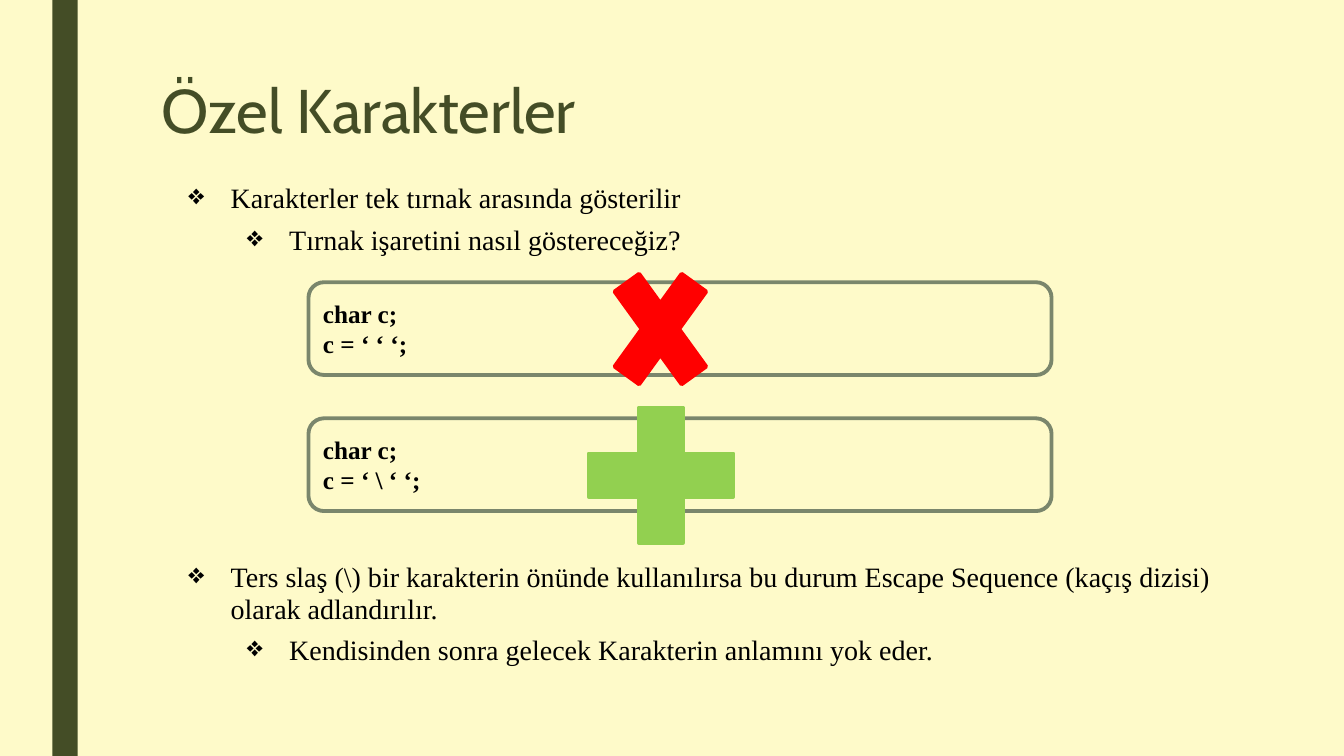
"""Build the slide on special characters and escape sequences."""
from typing import NamedTuple

from lxml.etree import SubElement
from pptx import Presentation
from pptx.dml.color import RGBColor
from pptx.enum.shapes import MSO_SHAPE
from pptx.enum.text import MSO_ANCHOR, PP_ALIGN
from pptx.oxml.ns import qn
from pptx.util import Inches, Pt

OLIVE = "444D26"
BLACK = "000000"
SERIF = "Times New Roman"


class Box(NamedTuple):
    left: float
    top: float
    width: float
    height: float


class Bullet(NamedTuple):
    text: str
    indent: float
    space_before: float


class BulletList(NamedTuple):
    box: Box
    bullets: list[Bullet]


class CodeBox(NamedTuple):
    top: float
    lines: list[str]


class Mark(NamedTuple):
    kind: MSO_SHAPE
    box: Box
    color: str


OUTER, INNER = 0.42, 1
BULLET_LISTS = [
    BulletList(Box(1.77, 1.77, 10.5, 0.9), [
        Bullet("Karakterler tek tırnak arasında gösterilir", OUTER, 0),
        Bullet("Tırnak işaretini nasıl göstereceğiz?", INNER, 5),
    ]),
    BulletList(Box(1.77, 5.53, 10.5, 1.25), [
        Bullet("Ters slaş (\\) bir karakterin önünde kullanılırsa bu durum "
               "Escape Sequence (kaçış dizisi) olarak adlandırılır.", OUTER, 0),
        Bullet("Kendisinden sonra gelecek Karakterin anlamını yok eder.", INNER, 5),
    ]),
]
CODE_BOXES = [
    CodeBox(2.8, ["char c;", "c = ‘ ‘ ‘;"]),
    CodeBox(4.15, ["char c;", "c = ‘ \\ ‘ ‘;"]),
]
MARKS = [
    Mark(MSO_SHAPE.MATH_MULTIPLY, Box(5.91, 2.38, 1.28, 1.77), "FF0000"),
    Mark(MSO_SHAPE.MATH_PLUS, Box(5.58, 3.8, 1.95, 1.83), "92D050"),
]


def rgb(value: str) -> RGBColor:
    """Turn a hex string into a colour."""
    return RGBColor.from_string(value)


def to_inches(box: Box) -> list[Inches]:
    """Convert a box to lengths."""
    return [Inches(value) for value in box]


def write(paragraph, text: str, *, size: float, font: str = SERIF,
          color: str = BLACK, bold: bool = False, line_spacing: float = 1,
          space_before: float = 0, space_after: float = 0) -> None:
    """Write formatted, left-aligned text in a paragraph."""
    paragraph.alignment = PP_ALIGN.LEFT
    paragraph.line_spacing = line_spacing
    paragraph.space_before = Pt(space_before)
    paragraph.space_after = Pt(space_after)
    run = paragraph.add_run()
    run.text = text
    run.font.size = Pt(size)
    run.font.name = font
    run.font.bold = bold
    run.font.color.rgb = rgb(color)


def add_paragraphs(text_frame, count: int) -> list:
    """Return the given number of paragraphs of an empty text frame."""
    return [text_frame.paragraphs[0]] + [
        text_frame.add_paragraph() for _ in range(count - 1)]


def add_shape(slide, kind: MSO_SHAPE, box: Box, *, fill: str | None = None,
              line: str | None = None):
    """Add a flat preset shape."""
    shape = slide.shapes.add_shape(kind, *to_inches(box))
    shape.shadow.inherit = False
    if fill:
        shape.fill.solid()
        shape.fill.fore_color.rgb = rgb(fill)
    else:
        shape.fill.background()
    if line:
        shape.line.color.rgb = rgb(line)
        shape.line.width = Pt(2.75)
    else:
        shape.line.fill.background()
    return shape


def add_title(slide, text: str) -> None:
    """Place and format the title."""
    title = slide.shapes.title
    title.left, title.top, title.width, title.height = to_inches(
        Box(1.5, 0.75, 10.5, 1))
    title.text_frame.vertical_anchor = MSO_ANCHOR.TOP
    write(title.text_frame.paragraphs[0], text, size=44, font="Cabin",
          color=OLIVE, line_spacing=0.89)


def add_bullet_list(slide, bullet_list: BulletList) -> None:
    """Add a text box of bulleted paragraphs."""
    text_frame = slide.shapes.add_textbox(*to_inches(bullet_list.box)).text_frame
    text_frame.word_wrap = True
    paragraphs = add_paragraphs(text_frame, len(bullet_list.bullets))
    for paragraph, bullet in zip(paragraphs, bullet_list.bullets):
        properties = paragraph._p.get_or_add_pPr()
        properties.set("marL", str(Inches(bullet.indent)))
        properties.set("indent", str(Inches(-OUTER)))
        SubElement(properties, qn("a:buChar"), char="❖")
        write(paragraph, bullet.text, size=20, line_spacing=0.94,
              space_before=bullet.space_before, space_after=2)


def add_code_box(slide, code_box: CodeBox) -> None:
    """Add a rounded outline holding lines of code."""
    shape = add_shape(slide, MSO_SHAPE.ROUNDED_RECTANGLE,
                      Box(3.06, code_box.top, 7.37, 0.92), line="7A866C")
    shape.text_frame.vertical_anchor = MSO_ANCHOR.MIDDLE
    paragraphs = add_paragraphs(shape.text_frame, len(code_box.lines))
    for paragraph, line in zip(paragraphs, code_box.lines):
        write(paragraph, line, size=18, bold=True)


def main() -> None:
    """Build and save the presentation."""
    presentation = Presentation()
    presentation.slide_width = Inches(13.33)
    presentation.slide_height = Inches(7.5)
    slide = presentation.slides.add_slide(presentation.slide_layouts[5])
    slide.background.fill.solid()
    slide.background.fill.fore_color.rgb = rgb("FEFAC9")
    add_shape(slide, MSO_SHAPE.RECTANGLE, Box(0.52, 0, 0.25, 7.5), fill=OLIVE)
    add_title(slide, "Özel Karakterler")
    for bullet_list in BULLET_LISTS:
        add_bullet_list(slide, bullet_list)
    for code_box in CODE_BOXES:
        add_code_box(slide, code_box)
    for mark in MARKS:
        add_shape(slide, mark.kind, mark.box, fill=mark.color, line=mark.color)
    presentation.save("out.pptx")


if __name__ == "__main__":
    main()
